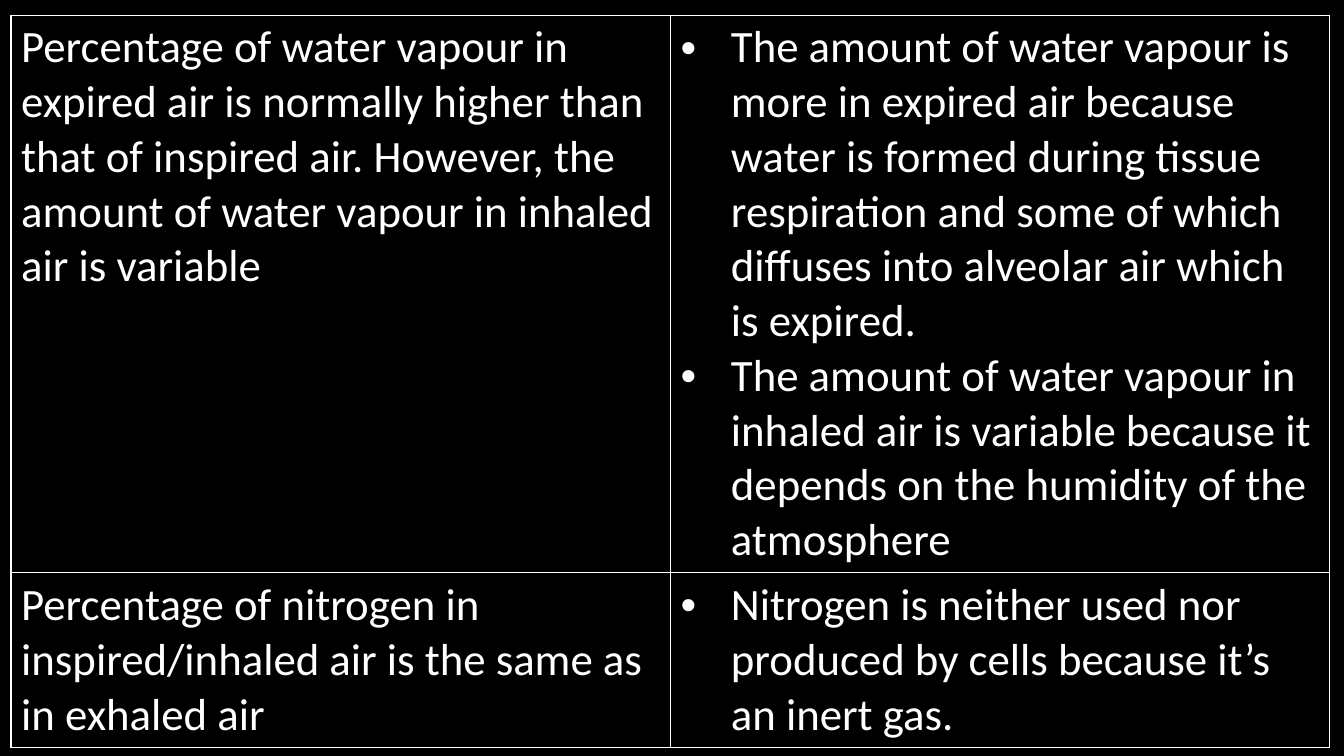
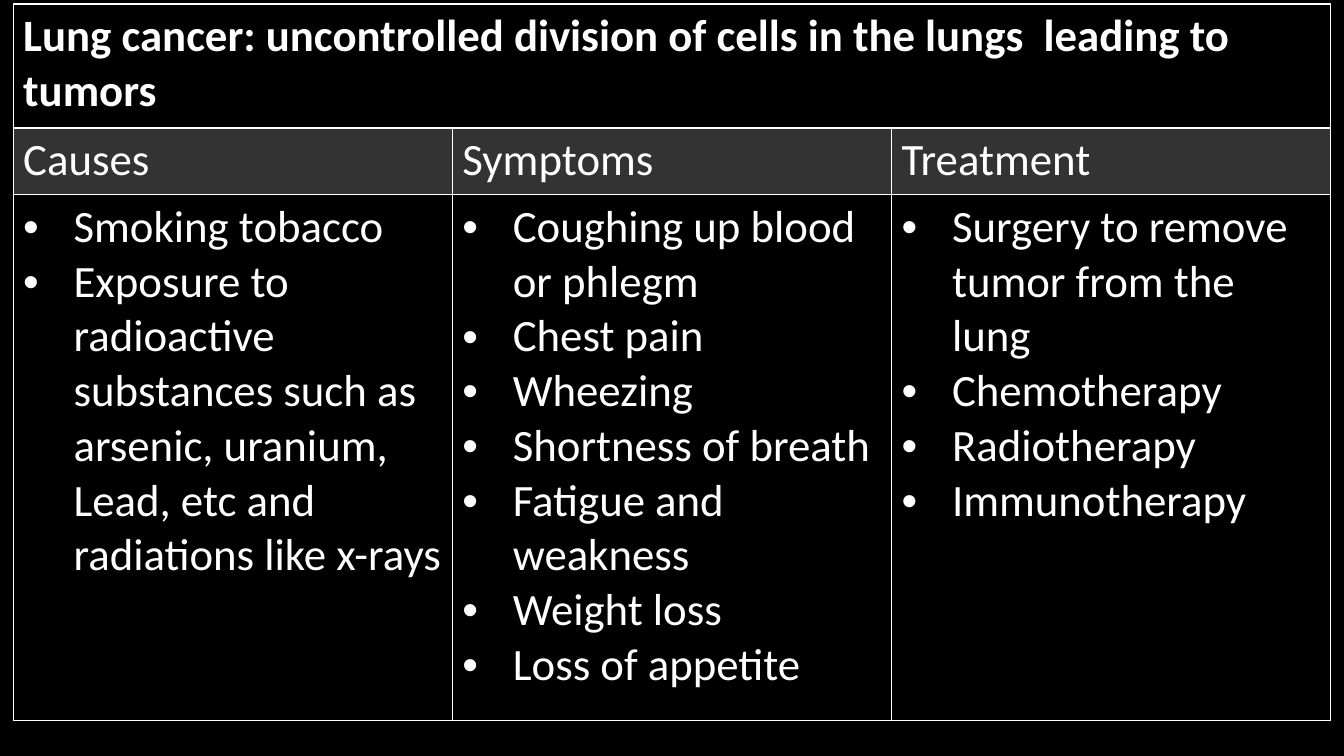
from dataclasses import dataclass

from lxml import etree
from pptx import Presentation
from pptx.dml.color import RGBColor
from pptx.oxml.ns import qn
from pptx.util import Inches, Pt

BLANK_LAYOUT = 6
EDGES = ("lnL", "lnR", "lnT", "lnB")


@dataclass(frozen=True)
class Theme:
    background: str = "000000"
    foreground: str = "FFFFFF"
    font: str = "Calibri"
    text_size: int = 32
    header_opacity: int = 20
    border: int = 1
    heavy_border: int = 2
    bullet_indent: float = 0.5


THEME = Theme()


def write_text(paragraph, text, *, bold=False, bullet=False):
    """Fill a paragraph with text, optionally bold or bulleted."""
    if bullet:
        indent = Inches(THEME.bullet_indent)
        properties = paragraph._p.get_or_add_pPr()
        properties.set("marL", str(indent))
        properties.set("indent", str(-indent))
        etree.SubElement(properties, qn("a:buFont"), typeface="Arial")
        etree.SubElement(properties, qn("a:buChar"), char="•")
    run = paragraph.add_run()
    run.text = text
    run.font.name = THEME.font
    run.font.size = Pt(THEME.text_size)
    run.font.bold = bold
    run.font.color.rgb = RGBColor.from_string(THEME.foreground)


class Deck:
    """Holds the presentation, its style and the current slide."""

    def __init__(self, theme):
        self.theme = theme
        self.presentation = Presentation()
        self.presentation.slide_width = Inches(13.33)
        self.presentation.slide_height = Inches(7.5)
        self.slide = None

    def add_slide(self):
        layout = self.presentation.slide_layouts[BLANK_LAYOUT]
        self.slide = self.presentation.slides.add_slide(layout)
        fill = self.slide.background.fill
        fill.solid()
        fill.fore_color.rgb = RGBColor.from_string(self.theme.background)

    def add_table(self, left, top, width, row_heights, column_count):
        """Add an empty ruled table with equal columns."""
        shape = self.slide.shapes.add_table(
            len(row_heights), column_count, Inches(left), Inches(top),
            Inches(width), Inches(sum(row_heights)))
        table = shape.table
        table.first_row = False
        table.horz_banding = False
        for column in table.columns:
            column.width = Inches(width / column_count)
        for row, height in zip(table.rows, row_heights):
            row.height = Inches(height)
        for cell in table.iter_cells():
            cell.fill.background()
            self.set_borders(cell)
        return table

    def set_borders(self, cell, **widths):
        """Rule all four edges; widths override single edges by tag."""
        properties = cell._tc.get_or_add_tcPr()
        for position, edge in enumerate(EDGES):
            for old_line in properties.findall(qn(f"a:{edge}")):
                properties.remove(old_line)
            width = Pt(widths.get(edge, self.theme.border))
            line = etree.Element(qn(f"a:{edge}"), w=str(width))
            fill = etree.SubElement(line, qn("a:solidFill"))
            etree.SubElement(fill, qn("a:srgbClr"), val=self.theme.foreground)
            properties.insert(position, line)

    def shade(self, cell):
        """Give a header cell a translucent fill."""
        cell.fill.solid()
        cell.fill.fore_color.rgb = RGBColor.from_string(self.theme.foreground)
        color = cell._tc.tcPr.find(f"{qn('a:solidFill')}/{qn('a:srgbClr')}")
        etree.SubElement(color, qn("a:alpha"),
                         val=str(self.theme.header_opacity * 1000))

    def fill_cell(self, cell, *texts, **text_format):
        """Write one paragraph for each text."""
        frame = cell.text_frame
        for index, text in enumerate(texts):
            paragraph = frame.add_paragraph() if index else frame.paragraphs[0]
            write_text(paragraph, text, **text_format)


# Slide content
AIR_COMPARISON = [
    ("Percentage of water vapour in expired air is normally higher than that "
     "of inspired air. However, the amount of water vapour in inhaled air is "
     "variable",
     ["The amount of water vapour is more in expired air because water is "
      "formed during tissue respiration and some of which diffuses into "
      "alveolar air which is expired.",
      "The amount of water vapour in inhaled air is variable because it "
      "depends on the humidity of the atmosphere"]),
    ("Percentage of nitrogen in inspired/inhaled air is the same as in "
     "exhaled air",
     ["Nitrogen is neither used nor produced by cells because it’s an inert "
      "gas."]),
]

CANCER_TITLE = ("Lung cancer: uncontrolled division of cells in the lungs  "
                "leading to tumors")
CANCER_COLUMNS = {
    "Causes": ["Smoking tobacco",
               "Exposure to radioactive substances such as arsenic, uranium, "
               "Lead, etc and radiations like x-rays"],
    "Symptoms": ["Coughing up blood or phlegm", "Chest pain", "Wheezing",
                 "Shortness of breath", "Fatigue and weakness", "Weight loss",
                 "Loss of appetite"],
    "Treatment": ["Surgery to remove tumor from the lung", "Chemotherapy",
                  "Radiotherapy", "Immunotherapy"],
}


def build_air_slide(deck):
    deck.add_slide()
    table = deck.add_table(0.11, 0.15, 13.08, [5.53, 1.73], 2)
    for row, (fact, reasons) in enumerate(AIR_COMPARISON):
        deck.fill_cell(table.cell(row, 0), fact)
        deck.fill_cell(table.cell(row, 1), *reasons, bullet=True)


def build_cancer_slide(deck):
    deck.add_slide()
    column_count = len(CANCER_COLUMNS)
    table = deck.add_table(0.13, 0.04, 13.07, [1.23, 0.66, 5.22], column_count)

    # Title row across all columns
    title = table.cell(0, 0)
    title.merge(table.cell(0, column_count - 1))
    deck.fill_cell(title, CANCER_TITLE, bold=True)

    # Headers and their lists
    for column, (header, items) in enumerate(CANCER_COLUMNS.items()):
        deck.set_borders(table.cell(0, column), lnB=deck.theme.heavy_border)
        header_cell = table.cell(1, column)
        deck.set_borders(header_cell, lnT=deck.theme.heavy_border)
        deck.shade(header_cell)
        deck.fill_cell(header_cell, header)
        deck.fill_cell(table.cell(2, column), *items, bullet=True)


def main():
    deck = Deck(THEME)
    build_air_slide(deck)
    build_cancer_slide(deck)
    deck.presentation.save("out.pptx")


if __name__ == "__main__":
    main()
